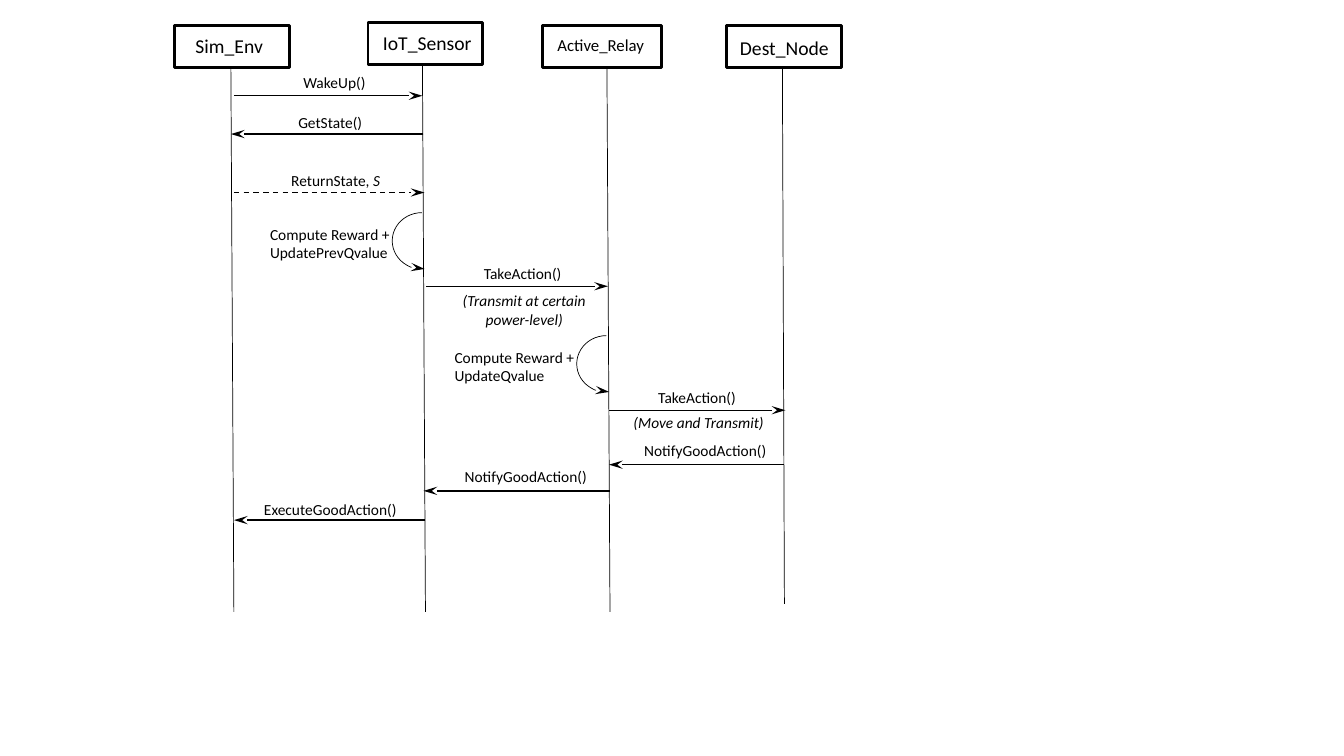
from pptx import Presentation, util as u
from pptx.dml.color import RGBColor
from pptx.enum import dml, shapes, text
from pptx.oxml.ns import qn
from lxml import etree

COLORS = {"ink": "000000"}
FONT = "Calibri"
HEAD_HEIGHT = 0.42
LABEL_HEIGHT = 0.29
NOTE_HEIGHT = 0.47

PARTICIPANTS = [
    ("Sim_Env", (1.73, 0.25, 1.14), (0.11, 0.04, 0.99), 14, (2.29, 2.32, 6.07)),
    ("IoT_Sensor", (3.65, 0.22, 1.14), (0.05, 0.04, 1.14), 14, (4.19, 4.22, 6.07)),
    ("Active_Relay", (5.38, 0.25, 1.18), (0.05, 0.05, 1.11), 12, (6.02, 6.05, 6.07)),
    ("Dest_Node", (7.21, 0.25, 1.14), (0.03, 0.06, 1.11), 14, (7.76, 7.78, 5.99)),
]

MESSAGES = [
    ("WakeUp()", (2.32, 0.95, 1.87), (0.59, -0.27, 0.99), {}),
    ("GetState()", (2.29, 1.33, 1.91), (0.57, -0.26, 0.99), {"back": True}),
    ("ReturnState, |S", (2.32, 1.91, 1.89), (0.47, -0.26, 1.33), {"dashed": True}),
    ("TakeAction()", (4.23, 2.84, 1.8), (0.47, -0.27, 0.99),
     {"note": ("(Transmit at certain power-level)", 0.14, 0, NOTE_HEIGHT)}),
    ("TakeAction()", (6.04, 4.07, 1.75), (0.39, -0.27, 0.99),
     {"note": ("(Move and Transmit)", 0.06, -0.02, LABEL_HEIGHT)}),
    ("NotifyGoodAction()", (6.04, 4.61, 1.74), (0.25, -0.28, 1.47), {"back": True}),
    ("NotifyGoodAction()", (4.2, 4.87, 1.85), (0.31, -0.29, 1.47), {"back": True}),
    ("ExecuteGoodAction()", (2.32, 5.16, 1.9), (0.2, -0.25, 1.57), {"back": True}),
]

SELF_CALLS = [
    ("Compute Reward +\nUpdatePrevQvalue", (3.89, 2.11, 0.59, 0.56)),
    ("Compute Reward +\nUpdateQvalue", (5.72, 3.33, 0.59, 0.56)),
]


def inches(*lengths):
    """Convert lengths in inches to slide units."""
    return [u.Inches(length) for length in lengths]


def ink(name):
    """Return a named colour."""
    return RGBColor.from_string(COLORS[name])


def add_text(slide, words, box, size=11, italic=False, align=text.PP_ALIGN.LEFT):
    """Write text in a box; newlines split paragraphs, a bar starts an italic run."""
    frame = slide.shapes.add_textbox(*inches(*box)).text_frame
    frame.word_wrap = True
    frame.auto_size = text.MSO_AUTO_SIZE.SHAPE_TO_FIT_TEXT
    for index, line in enumerate(words.split("\n")):
        paragraph = frame.paragraphs[0] if index == 0 else frame.add_paragraph()
        paragraph.alignment = align
        for position, part in enumerate(line.split("|")):
            run = paragraph.add_run()
            run.text = part
            run.font.name = FONT
            run.font.size = u.Pt(size)
            run.font.italic = italic or position > 0
            run.font.color.rgb = ink("ink")


def style_line(line, width, arrow=False, dashed=False):
    """Set the colour, width, dash and arrowhead of a line."""
    line.color.rgb = ink("ink")
    line.width = u.Pt(width)
    if dashed:
        line.dash_style = dml.MSO_LINE.DASH
    if arrow:
        etree.SubElement(line._get_or_add_ln(), qn("a:tailEnd"),
                         type="stealth", w="med", len="lg")


def add_line(slide, start, end, width, **style):
    """Draw a straight line without a shadow."""
    line = slide.shapes.add_connector(shapes.MSO_CONNECTOR.STRAIGHT,
                                      *inches(*start, *end))
    style_line(line.line, width, **style)
    etree.SubElement(line._element.spPr, qn("a:effectLst"))


def add_outline(slide, kind, box, width, arrow=False):
    """Draw an unfilled preset shape and return it."""
    outline = slide.shapes.add_shape(kind, *inches(*box))
    outline.shadow.inherit = False
    outline.fill.background()
    style_line(outline.line, width, arrow=arrow)
    return outline


def participant(slide, name, box, label, size, lifeline):
    """Draw a participant's heading and its lifeline."""
    left, top, width = box
    dx, dy, label_width = label
    start_x, end_x, end_y = lifeline
    add_outline(slide, shapes.MSO_SHAPE.RECTANGLE, (left, top, width, HEAD_HEIGHT), 2)
    add_text(slide, name, (left + dx, top + dy, label_width, 0.34), size=size)
    add_line(slide, (start_x, top + HEAD_HEIGHT), (end_x, end_y), 0.5)


def message(slide, words, box, label, back=False, dashed=False, note=None):
    """Draw an arrow between lifelines with its label and optional note."""
    left, y, width = box
    dx, dy, label_width = label
    ends = [(left, y), (left + width, y)]
    start, end = reversed(ends) if back else ends
    add_line(slide, start, end, 1, arrow=True, dashed=dashed)
    add_text(slide, words, (left + dx, y + dy, label_width, LABEL_HEIGHT))
    if note:
        remark, note_dx, note_dy, height = note
        add_text(slide, remark, (left + note_dx, y + note_dy, 1.66, height),
                 italic=True, align=text.PP_ALIGN.CENTER)


def self_call(slide, words, box):
    """Draw a looping arrow with its label on the left."""
    left, top = box[:2]
    loop = add_outline(slide, shapes.MSO_SHAPE.ARC, box, 0.5, arrow=True)
    loop.adjustments[0] = 162
    loop.adjustments[1] = 57.28
    loop._element.spPr.xfrm.set("flipH", "1")
    add_text(slide, words, (left - 1.31, top + 0.07, 1.5, NOTE_HEIGHT))


def main():
    """Build the sequence diagram and save it."""
    deck = Presentation()
    deck.slide_width, deck.slide_height = inches(13.33, 7.5)
    slide = deck.slides.add_slide(deck.slide_layouts[6])
    for name, box, label, size, lifeline in PARTICIPANTS:
        participant(slide, name, box, label, size, lifeline)
    for words, box, label, options in MESSAGES:
        message(slide, words, box, label, **options)
    for words, box in SELF_CALLS:
        self_call(slide, words, box)
    deck.save("out.pptx")


if __name__ == "__main__":
    main()
